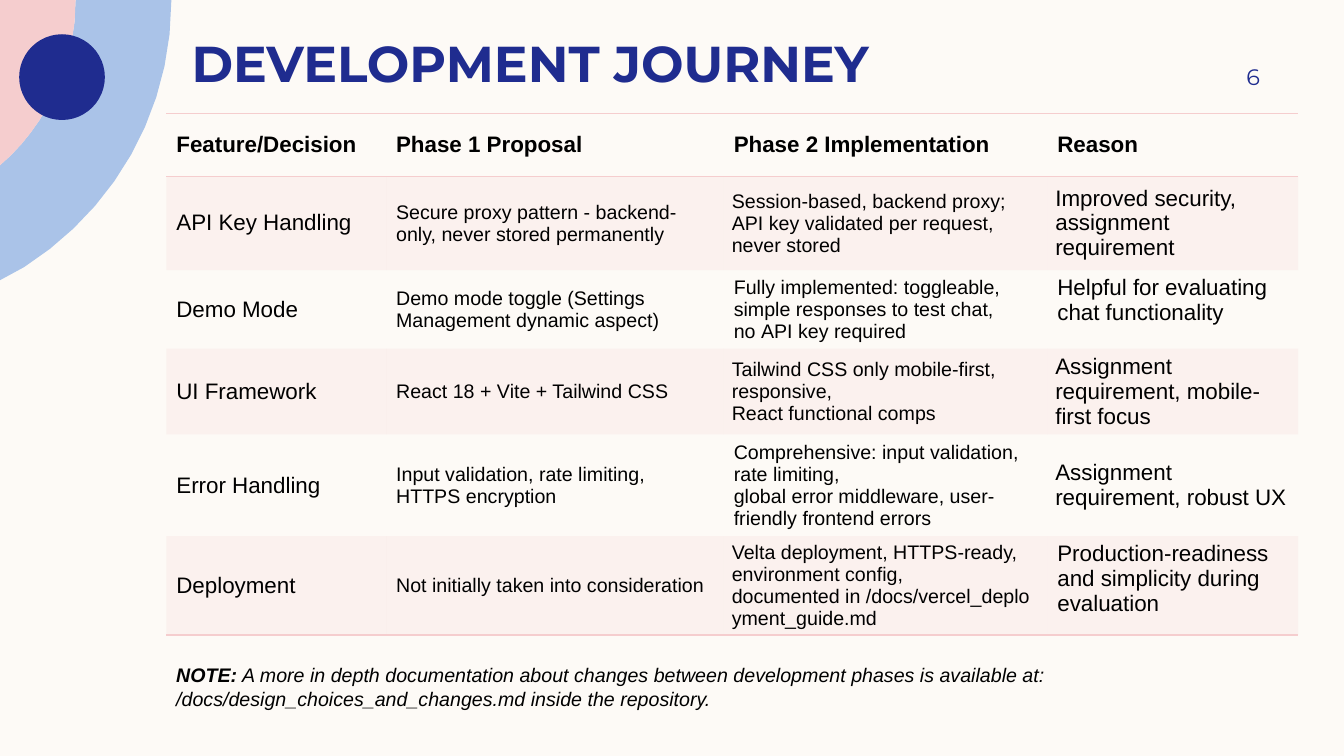
from dataclasses import dataclass

import lxml.etree
import pptx
import pptx.dml.color
import pptx.enum.shapes
import pptx.enum.text
import pptx.oxml.ns
import pptx.shapes.autoshape
import pptx.slide
import pptx.table
import pptx.text.text
import pptx.util

PX = 9144  # EMU per px, 100 px to the inch

CREAM = pptx.dml.color.RGBColor(0xFD, 0xFA, 0xF6)
SKY = pptx.dml.color.RGBColor(0xAA, 0xC3, 0xE8)
PINK = pptx.dml.color.RGBColor(0xF5, 0xCD, 0xCE)
NAVY = pptx.dml.color.RGBColor(0x1F, 0x2C, 0x8F)
BLACK = pptx.dml.color.RGBColor(0, 0, 0)

ANCHOR = pptx.enum.text.MSO_ANCHOR
NO_STYLE_NO_GRID = "{2D5ABB26-0587-4C30-8999-92F81FD0307C}"
BAND_ALPHA = 20000
COLUMN_WIDTHS = (218, 335, 321, 249)
COLUMN_SIZES = (16, 14, 14, 16)
NO_BREAK_MARK, NO_BREAK_SPACE = "~", chr(160)


@dataclass(frozen=True)
class Box:
    left: int
    top: int
    width: int
    height: int

    def emu(self) -> tuple[int, int, int, int]:
        return self.left * PX, self.top * PX, self.width * PX, self.height * PX


Point = tuple[int, int]


@dataclass(frozen=True)
class Ring:
    """Outline made of segments: one point for a line, three for a curve."""
    color: pptx.dml.color.RGBColor
    start: Point
    segments: tuple[tuple[Point, ...], ...]


@dataclass(frozen=True)
class Decision:
    """Table row; a tilde in its texts stands for a no-break space."""
    height: int
    texts: tuple[str, str, str, str]
    reason_on_top: bool = False


RINGS = (
    Ring(SKY, (75, 0), (
        ((170, 0),), ((170, 1),), ((170, 112), (112, 209), (24, 265)), ((0, 278),),
        ((0, 164),), ((11, 154),), ((46, 119), (68, 73), (74, 22)))),
    Ring(PINK, (0, 0), (
        ((75, 0),), ((74, 22),), ((68, 73), (46, 119), (11, 154)), ((0, 164),))),
)

DECISIONS = (
    Decision(62, ("Feature/Decision", "Phase~1 Proposal", "Phase~2 Implementation", "Reason")),
    Decision(93, (
        "API~Key~Handling",
        "Secure proxy pattern - backend-only, never stored permanently",
        "Session-based, backend~proxy; API~key~validated per~request, never stored",
        "Improved~security, assignment requirement")),
    Decision(78, (
        "Demo Mode",
        "Demo mode toggle (Settings Management dynamic aspect)",
        "Fully~implemented: toggleable, simple~responses to test chat, no~API~key~required",
        "Helpful for evaluating chat functionality"), reason_on_top=True),
    Decision(85, (
        "UI Framework",
        "React 18 + Vite + Tailwind CSS",
        "Tailwind~CSS~only~mobile-first, responsive, React~functional~comps",
        "Assignment requirement, mobile-first focus")),
    Decision(101, (
        "Error~Handling",
        "Input validation, rate limiting, HTTPS encryption",
        "Comprehensive: input~validation, rate limiting, "
        "global~error~middleware, user-friendly~frontend~errors",
        "Assignment requirement, robust~UX")),
    Decision(98, (
        "Deployment",
        "Not initially taken into consideration",
        "Velta~deployment, HTTPS-ready, environment~config, "
        "documented~in~/docs/vercel_deployment_guide.md",
        "Production-readiness and simplicity during evaluation"), reason_on_top=True),
)


def format_run(run: pptx.text.text._Run, face: str, size: int,
               color: pptx.dml.color.RGBColor, bold: bool = False, italic: bool = False) -> None:
    run.font.name = face
    run.font.size = pptx.util.Pt(size)
    run.font.color.rgb = color
    run.font.bold = bold
    run.font.italic = italic


def set_margins(frame: pptx.text.text.TextFrame, left: int, top: int, right: int, bottom: int) -> None:
    frame.margin_left, frame.margin_top = left * PX, top * PX
    frame.margin_right, frame.margin_bottom = right * PX, bottom * PX


def paint(shape: pptx.shapes.autoshape.Shape, color: pptx.dml.color.RGBColor) -> None:
    shape.shadow.inherit = False
    shape.fill.solid()
    shape.fill.fore_color.rgb = color
    shape.line.fill.background()


def curve_points(*corners: Point, steps: int = 10) -> list[tuple[float, float]]:
    points = []
    for step in range(1, steps + 1):
        t = step / steps
        weights = ((1 - t) ** 3, 3 * t * (1 - t) ** 2, 3 * t * t * (1 - t), t ** 3)
        points.append((sum(w * x for w, (x, _) in zip(weights, corners)),
                       sum(w * y for w, (_, y) in zip(weights, corners))))
    return points


def draw_ring(slide: pptx.slide.Slide, ring: Ring) -> None:
    points, last = [], ring.start
    for segment in ring.segments:
        points += curve_points(last, *segment) if len(segment) == 3 else segment
        last = segment[-1]
    # Work in EMU so that the curves stay smooth
    builder = slide.shapes.build_freeform(ring.start[0] * PX, ring.start[1] * PX)
    builder.add_line_segments([(round(x * PX), round(y * PX)) for x, y in points])
    paint(builder.convert_to_shape(), ring.color)


def add_border(cell: pptx.table._Cell, side: str) -> None:
    qn = pptx.oxml.ns.qn
    border = lxml.etree.SubElement(cell._tc.get_or_add_tcPr(), qn(f"a:{side}"), w="12700")
    fill = lxml.etree.SubElement(border, qn("a:solidFill"))
    lxml.etree.SubElement(fill, qn("a:srgbClr"), val=str(PINK))


def fill_cell(cell: pptx.table._Cell, row: int, column: int, decision: Decision) -> None:
    header, banded = row == 0, row % 2 == 1
    on_top = column == 3 and decision.reason_on_top
    tight = not header and (column == 2 and banded or column == 3 and not on_top)

    cell.text_frame.text = decision.texts[column].replace(NO_BREAK_MARK, NO_BREAK_SPACE)
    format_run(cell.text_frame.paragraphs[0].runs[0], "Arial",
               16 if header else COLUMN_SIZES[column], BLACK, bold=header)
    cell.vertical_anchor = ANCHOR.TOP if on_top else ANCHOR.MIDDLE
    cell.margin_left = cell.margin_right = (8 if tight else 10) * PX
    cell.margin_top = cell.margin_bottom = (4 if tight else 5) * PX

    if header:
        add_border(cell, "lnT")
    if header or row == len(DECISIONS) - 1:
        add_border(cell, "lnB")
    if banded:
        cell.fill.solid()
        cell.fill.fore_color.rgb = PINK
        for color in cell._tc.tcPr.findall("a:solidFill/a:srgbClr", pptx.oxml.ns._nsmap):
            lxml.etree.SubElement(color, pptx.oxml.ns.qn("a:alpha"), val=str(BAND_ALPHA))
    else:
        cell.fill.background()


def draw_decisions(slide: pptx.slide.Slide, box: Box) -> None:
    frame = slide.shapes.add_table(len(DECISIONS), len(COLUMN_WIDTHS), *box.emu())
    decisions = frame.table
    decisions._tbl.tblPr.find(pptx.oxml.ns.qn("a:tableStyleId")).text = NO_STYLE_NO_GRID
    for column, width in enumerate(COLUMN_WIDTHS):
        decisions.columns[column].width = width * PX
    for row, decision in enumerate(DECISIONS):
        decisions.rows[row].height = decision.height * PX
        for column in range(len(COLUMN_WIDTHS)):
            fill_cell(decisions.cell(row, column), row, column, decision)


def main() -> None:
    deck = pptx.Presentation()
    deck.slide_height = 750 * PX
    deck.slide_width = deck.slide_height * 16 // 9
    slide = deck.slides.add_slide(deck.slide_layouts[5])
    slide.background.fill.solid()
    slide.background.fill.fore_color.rgb = CREAM

    # Corner decoration
    for ring in RINGS:
        draw_ring(slide, ring)
    dot = slide.shapes.add_shape(pptx.enum.shapes.MSO_SHAPE.OVAL, *Box(19, 34, 85, 85).emu())
    paint(dot, NAVY)

    # Title
    title = slide.shapes.title
    title.left, title.top, title.width, title.height = Box(180, -15, 1080, 107).emu()
    heading = title.text_frame
    heading.text = "DEVELOPMENT JOURNEY"
    heading.auto_size = pptx.enum.text.MSO_AUTO_SIZE.NONE
    heading.vertical_anchor = ANCHOR.BOTTOM
    set_margins(heading, 10, 0, 10, 0)
    heading.paragraphs[0].alignment = pptx.enum.text.PP_ALIGN.LEFT
    format_run(heading.paragraphs[0].runs[0], "Montserrat", 36, NAVY, bold=True)

    # Decisions by phase
    draw_decisions(slide, Box(165, 113, 1123, 517))

    # Page number
    page_number = slide.shapes.add_textbox(*Box(1133, 50, 117, 52).emu()).text_frame
    page_number.text = "6"
    page_number.word_wrap = True
    page_number.vertical_anchor = ANCHOR.MIDDLE
    set_margins(page_number, 10, 5, 0, 5)
    page_number.paragraphs[0].alignment = pptx.enum.text.PP_ALIGN.RIGHT
    format_run(page_number.paragraphs[0].runs[0], "Montserrat", 16, NAVY)

    # Note
    note = slide.shapes.add_textbox(*Box(165, 653, 1123, 57).emu()).text_frame
    note.word_wrap = True
    note.auto_size = pptx.enum.text.MSO_AUTO_SIZE.SHAPE_TO_FIT_TEXT
    note.text = "NOTE:"
    format_run(note.paragraphs[0].runs[0], "Arial", 14, BLACK, bold=True, italic=True)
    pointer = note.paragraphs[0].add_run()
    pointer.text = (" A more in depth documentation about changes between development phases "
                    "is available at: /docs/design_choices_and_changes.md inside the repository.")
    format_run(pointer, "Arial", 14, BLACK, italic=True)

    deck.save("out.pptx")


if __name__ == "__main__":
    main()
